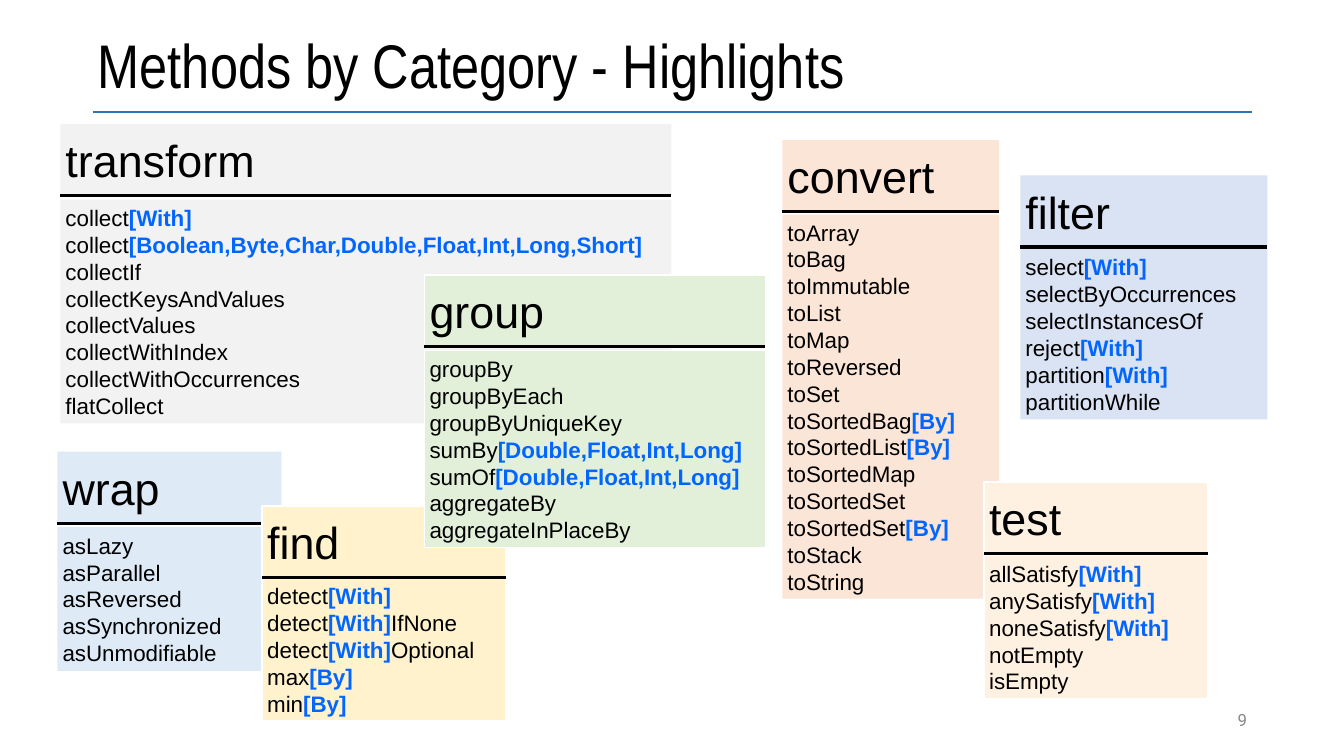
from dataclasses import dataclass

from pptx import Presentation
from pptx import util as u
from pptx.dml.color import RGBColor
from pptx.enum import shapes, text
from pptx.oxml import parse_xml
from pptx.oxml.ns import nsdecls


@dataclass(frozen=True)
class Theme:
    ink: str = "000000"
    accent: str = "0066FF"
    title_rule: str = "2E75B6"
    page_number: str = "888888"
    outline: str = "FFFFFF"
    body_font: str = "Arial"
    title_font: str = "Arial Narrow"
    number_font: str = "Roboto"
    title_size: int = 44
    heading_size: int = 32
    body_size: int = 16
    number_size: int = 12


THEME = Theme()
HEADING_HEIGHT = 0.71
LINE_HEIGHT = 0.265
INSET = 0.05

# Name, left, top, width, body offset, fill, outlined, methods; back to front
CATEGORIES = [
    ("transform", 0.6, 1.23, 6.06, 0.75, "F2F2F2", False,
     ["collect[With]", "collect[Boolean,Byte,Char,Double,Float,Int,Long,Short]",
      "collectIf", "collectKeysAndValues", "collectValues", "collectWithIndex",
      "collectWithOccurrences", "flatCollect"]),
    ("wrap", 0.57, 4.48, 2.22, 0.75, "DEEBF7", False,
     ["asLazy", "asParallel", "asReversed", "asSynchronized", "asUnmodifiable"]),
    ("convert", 7.76, 1.39, 2.15, 0.74, "FBE5D6", False,
     ["toArray", "toBag", "toImmutable", "toList", "toMap", "toReversed", "toSet",
      "toSortedBag[By]", "toSortedList[By]", "toSortedMap", "toSortedSet",
      "toSortedSet[By]", "toStack", "toString"]),
    ("filter", 10.12, 1.74, 2.45, 0.73, "DAE3F3", False,
     ["select[With]", "selectByOccurrences", "selectInstancesOf", "reject[With]",
      "partition[With]", "partitionWhile"]),
    ("test", 9.76, 4.78, 2.22, 0.73, "FFF1E1", True,
     ["allSatisfy[With]", "anySatisfy[With]", "noneSatisfy[With]", "notEmpty",
      "isEmpty"]),
    ("find", 2.6, 5.02, 2.42, 0.71, "FFF2CC", True,
     ["detect[With]", "detect[With]IfNone", "detect[With]Optional", "max[By]",
      "min[By]"]),
    ("group", 4.21, 2.73, 3.38, 0.75, "E2F0D9", True,
     ["groupBy", "groupByEach", "groupByUniqueKey", "sumBy[Double,Float,Int,Long]",
      "sumOf[Double,Float,Int,Long]", "aggregateBy", "aggregateInPlaceBy"]),
]


def inches(*lengths):
    return [u.Inches(length) for length in lengths]


def prepare_frame(shape, wrap=True, grow=False):
    frame = shape.text_frame
    frame.margin_left = frame.margin_right = u.Inches(INSET)
    frame.margin_top = frame.margin_bottom = u.Inches(INSET)
    frame.vertical_anchor = text.MSO_ANCHOR.MIDDLE
    frame.word_wrap = wrap
    frame.auto_size = (text.MSO_AUTO_SIZE.SHAPE_TO_FIT_TEXT if grow
                       else text.MSO_AUTO_SIZE.NONE)
    return frame


def add_run(paragraph, words, font, size, color, bold=False):
    run = paragraph.add_run()
    run.text = words
    run.font.name = font
    run.font.size = u.Pt(size)
    run.font.bold = bold
    run.font.color.rgb = RGBColor.from_string(color)


def add_rule(container, left, top, width, color, weight):
    rule = container.add_connector(shapes.MSO_CONNECTOR.STRAIGHT,
                                   *inches(left, top, left + width, top))
    rule.line.color.rgb = RGBColor.from_string(color)
    rule.line.width = u.Pt(weight)
    rule._element.spPr.append(parse_xml(f"<a:effectLst {nsdecls('a')}/>"))


def add_panel(container, box, fill, outlined):
    panel = container.add_shape(shapes.MSO_SHAPE.RECTANGLE, *inches(*box))
    panel.shadow.inherit = False
    panel.fill.solid()
    panel.fill.fore_color.rgb = RGBColor.from_string(fill)
    if outlined:
        panel.line.color.rgb = RGBColor.from_string(THEME.outline)
        panel.line.width = u.Pt(1)
    else:
        panel.line.fill.background()
    return panel


def add_method(paragraph, method):
    """Write a method name, with its bracketed variants highlighted."""
    name, bracket, rest = method.partition("[")
    variants, closing, suffix = rest.partition("]")
    for words, highlighted in ((name, False), (bracket + variants + closing, True),
                               (suffix, False)):
        if words:
            add_run(paragraph, words, THEME.body_font, THEME.body_size,
                    THEME.accent if highlighted else THEME.ink, highlighted)


def add_title(slide, left, top, width, height):
    add_rule(slide.shapes, left, top + height - 0.01, width, THEME.title_rule, 1.5)
    title = slide.shapes.add_textbox(*inches(left, top, width, height))
    paragraph = prepare_frame(title).paragraphs[0]
    paragraph.line_spacing = 0.9
    add_run(paragraph, "Methods by Category - Highlights", THEME.title_font,
            THEME.title_size, THEME.ink)


def add_page_number(slide, left, top, width, height):
    number = slide.shapes.add_textbox(*inches(left, top, width, height))
    paragraph = prepare_frame(number, wrap=False, grow=True).paragraphs[0]
    paragraph.alignment = text.PP_ALIGN.RIGHT
    add_run(paragraph, "9", THEME.number_font, THEME.number_size, THEME.page_number)


def add_category(slide, name, left, top, width, body_offset, fill, outlined, methods):
    card = slide.shapes.add_group_shape().shapes

    # Heading
    add_panel(card, (left, top, width, HEADING_HEIGHT), fill, outlined)
    heading = card.add_textbox(*inches(left, top + 0.04, width, 0.63))
    add_run(prepare_frame(heading, grow=True).paragraphs[0], name, THEME.body_font,
            THEME.heading_size, THEME.ink)

    # Method list
    body_height = len(methods) * LINE_HEIGHT + 2 * INSET
    body = add_panel(card, (left, top + body_offset, width, body_height), fill, outlined)
    frame = prepare_frame(body, grow=True)
    for index, method in enumerate(methods):
        paragraph = frame.add_paragraph() if index else frame.paragraphs[0]
        paragraph.alignment = text.PP_ALIGN.LEFT
        add_method(paragraph, method)

    # Rule under the heading
    add_rule(card, left, top + HEADING_HEIGHT, width, THEME.ink, 2.25)


def main():
    presentation = Presentation()
    presentation.slide_width, presentation.slide_height = inches(13.33, 7.5)
    slide = presentation.slides.add_slide(presentation.slide_layouts[6])
    add_title(slide, 0.92, 0.25, 11.5, 0.87)
    add_page_number(slide, 12.21, 7, 0.21, 0.29)
    for category in CATEGORIES:
        add_category(slide, *category)
    presentation.save("out.pptx")


if __name__ == "__main__":
    main()
